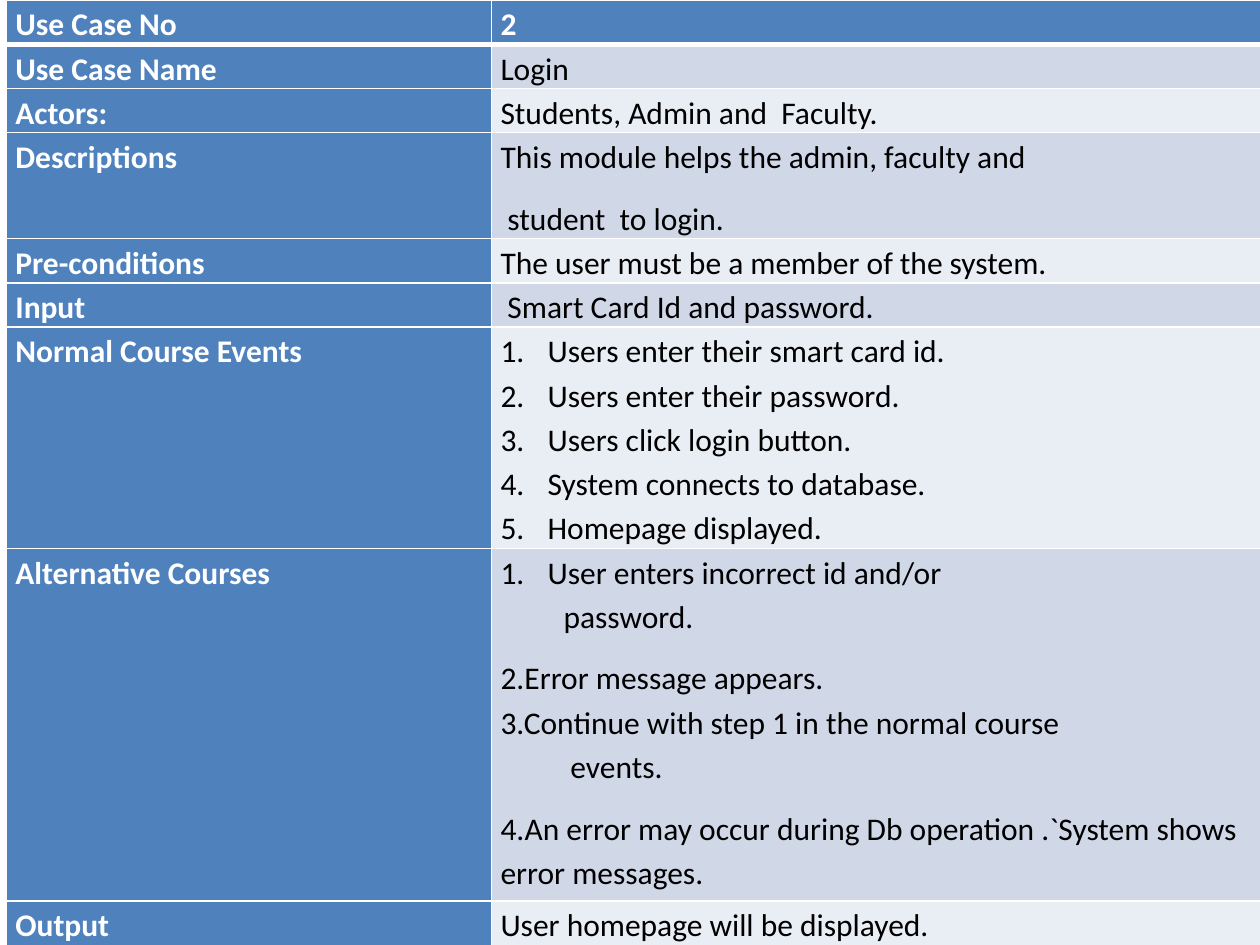
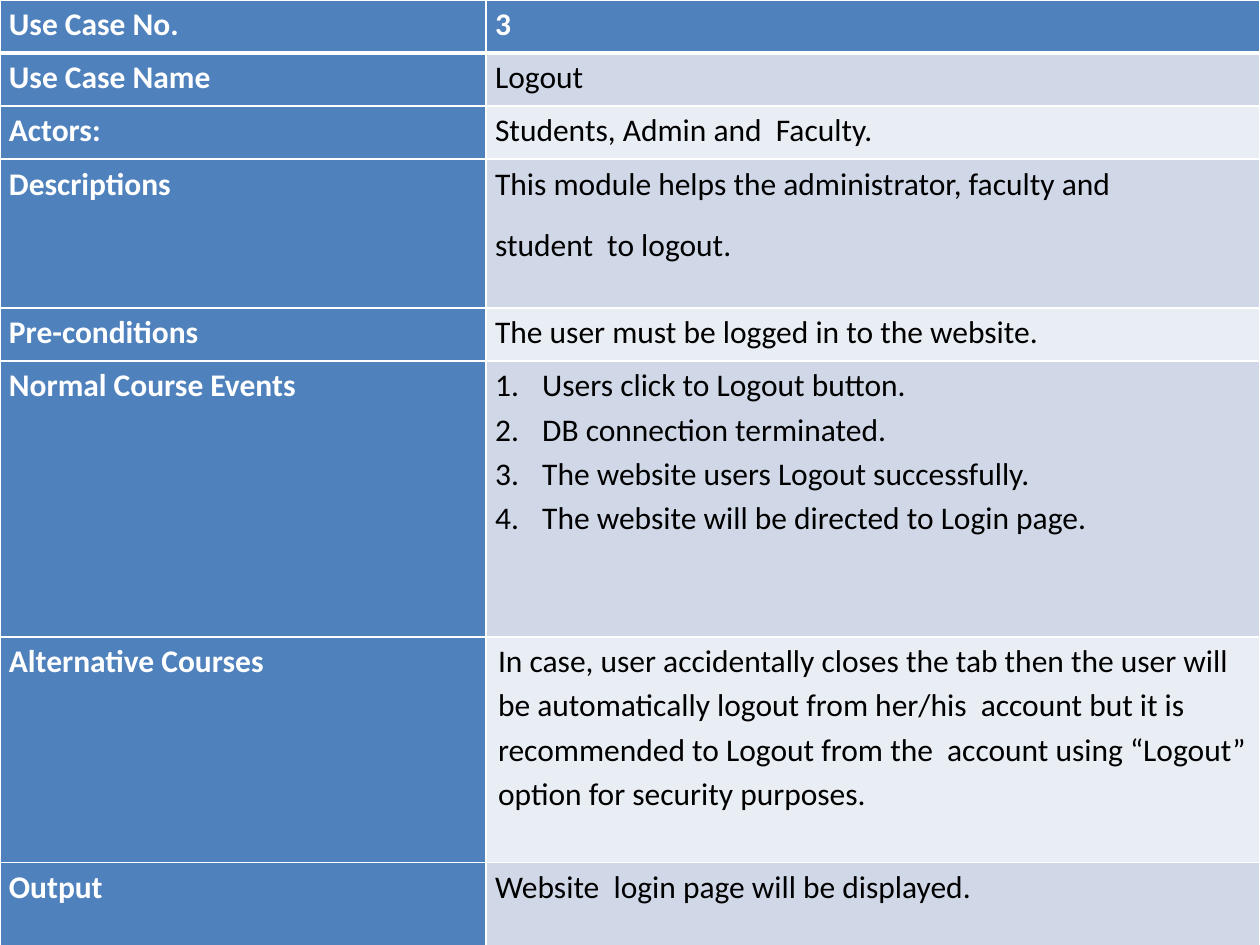
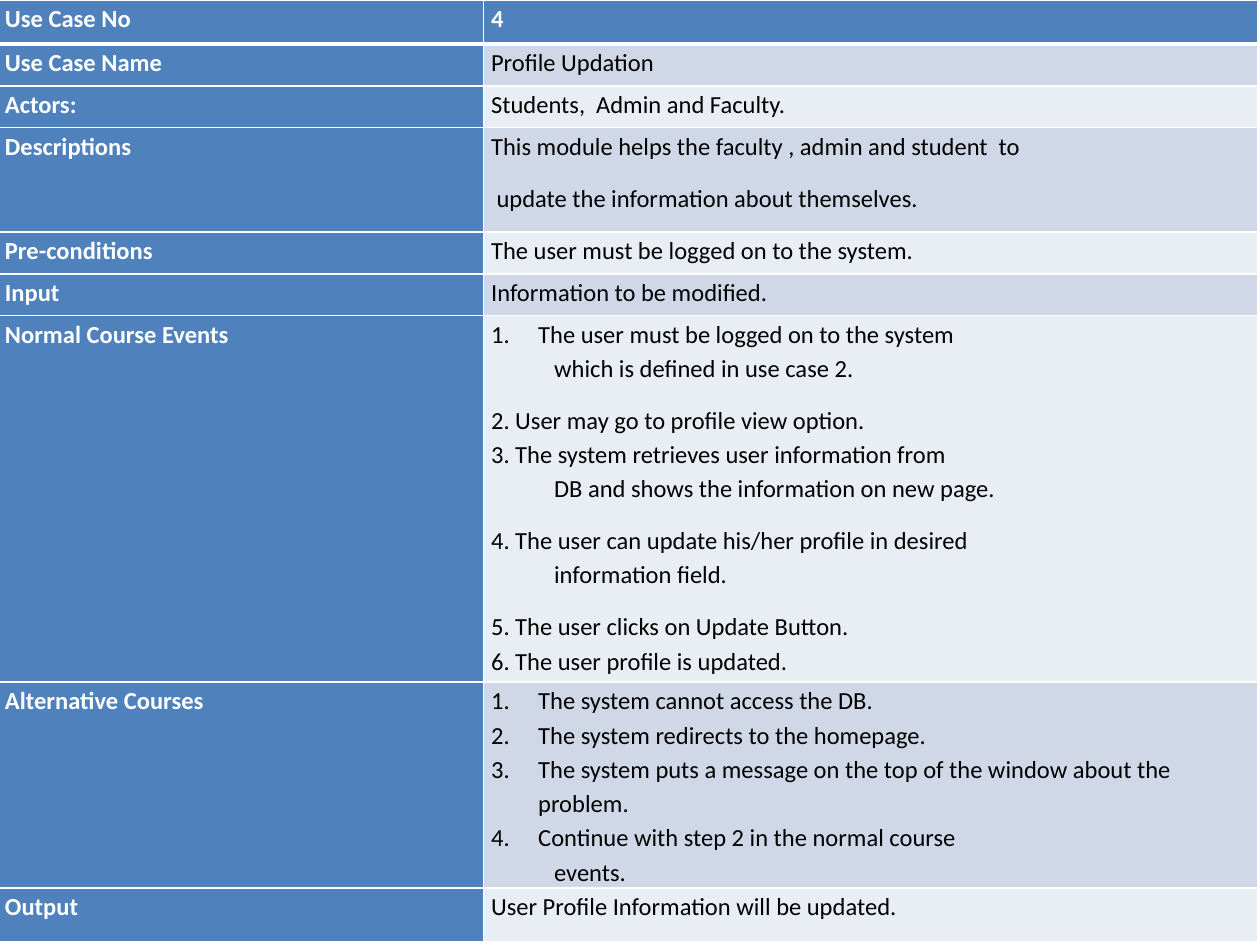
from dataclasses import dataclass

from lxml import etree
from pptx import Presentation
from pptx import slide as sl
from pptx import table as tb
from pptx import util as u
from pptx.dml import color
from pptx.enum import text
from pptx.oxml import ns


# Theme: every colour and type size
@dataclass(frozen=True)
class Theme:
    font: str = "Calibri"
    large: int = 18
    small: int = 14
    blue: str = "4F81BD"
    bands: tuple[str, str] = ("E9EDF4", "D0D8E8")
    white: str = "FFFFFF"
    black: str = "000000"
    rule: float = 1
    header_rule: float = 3
    line_spacing: float = 1.15


THEME = Theme()
BLANK_LAYOUT = 6
JUSTIFY = text.PP_ALIGN.JUSTIFY
LEFT = text.PP_ALIGN.LEFT


# Content: paragraphs, table rows and use cases
@dataclass(frozen=True)
class Line:
    words: str
    after: int = 10
    indent: float = 0
    numbered: bool = False
    align: text.PP_ALIGN = LEFT


@dataclass(frozen=True)
class Field:
    label: str
    height: float
    lines: list[Line]


@dataclass(frozen=True)
class UseCase:
    left: float
    height: float
    columns: tuple[float, float]
    inset: float
    size: int
    fields: list[Field]


def value(words: str) -> list[Line]:
    return [Line(words, align=JUSTIFY)]


def step(words: str) -> Line:
    return Line(words, after=0, indent=0.95, numbered=True)


def typed_step(words: str) -> Line:
    return Line(words, after=0)


def continued(words: str, indent: float = 1.27) -> Line:
    return Line(words, indent=indent)


LOGIN = UseCase(0.13, 19.13, (9.78, 15.57), 0.18, THEME.large, [
    Field("Use Case No", 0.81, value("2")),
    Field("Use Case Name", 0.71, value("Login")),
    Field("Actors:", 0.71, value("Students, Admin and  Faculty.")),
    Field("Descriptions", 1.98, [
        Line("This module helps the admin, faculty and"),
        continued("student  to login.", 0.14),
    ]),
    Field("Pre-conditions", 0.71, [Line("The user must be a member of the system.")]),
    Field("Input", 0.71, [continued("Smart Card Id and password.", 0.14)]),
    Field("Normal Course Events", 3.68, [
        step("Users enter their smart card id."),
        step("Users enter their password."),
        step("Users click login button."),
        step("System connects to database."),
        step("Homepage displayed."),
    ]),
    Field("Alternative Courses", 7.11, [
        step("User enters incorrect id and/or"),
        continued("password."),
        typed_step("2.Error message appears."),
        typed_step("3.Continue with step 1 in the normal course"),
        continued("events.", 1.41),
        typed_step("4.An error may occur during Db operation .`System shows error messages."),
    ]),
    Field("Output", 1.14, value("User homepage will be displayed.")),
])

LOGOUT = UseCase(0, 19.38, (9.8, 15.6), 0.18, THEME.large, [
    Field("Use Case No.", 1.07, value("3")),
    Field("Use Case Name", 1.07, value("Logout")),
    Field("Actors:", 1.07, value("Students, Admin and  Faculty.")),
    Field("Descriptions", 3.0, [
        *value("This module helps the administrator, faculty and"),
        *value("student  to logout."),
    ]),
    Field("Pre-conditions", 1.07, value("The user must be logged in to the website.")),
    Field("Normal Course Events", 5.56, [
        step("Users click to Logout button."),
        step("DB connection terminated."),
        step("The website users Logout successfully."),
        step("The website will be directed to Login page."),
    ]),
    Field("Alternative Courses", 4.55, [
        continued("In case, user accidentally closes the tab then the user will be "
                  "automatically logout from her/his  account but it is recommended to "
                  "Logout from the  account using “Logout” option for security purposes.",
                  0.06),
    ]),
    Field("Output", 2.06, value("Website  login page will be displayed.")),
])

PROFILE = UseCase(-0.05, 19.0, (9.8, 15.6), 0.15, THEME.small, [
    Field("Use Case No", 0.89, value("4")),
    Field("Use Case Name", 0.84, value("Profile Updation")),
    Field("Actors:", 0.84, value("Students,  Admin and Faculty.")),
    Field("Descriptions", 2.11, [
        Line("This module helps the faculty , admin and student  to"),
        continued("update the information about themselves.", 0.11),
    ]),
    Field("Pre-conditions", 0.84, [Line("The user must be logged on to the system.")]),
    Field("Input", 0.84, [Line("Information to be modified.")]),
    Field("Normal Course Events", 7.39, [
        step("The user must be logged on to the system"),
        continued("which is defined in use case 2."),
        typed_step("2. User may go to profile view option."),
        typed_step("3. The system retrieves user information from"),
        continued("DB and shows the information on new page."),
        typed_step("4. The user can update his/her profile in desired"),
        continued("information field."),
        typed_step("5. The user clicks on Update Button."),
        typed_step("6. The user profile is updated."),
    ]),
    Field("Alternative Courses", 3.84, [
        step("The system cannot access the DB."),
        step("The system redirects to the homepage."),
        step("The system puts a message on the top of the window about the problem."),
        step("Continue with step 2 in the normal course"),
        continued("events."),
    ]),
    Field("Output", 1.09, value("User Profile Information will be updated.")),
])


# Cell drawing
def set_borders(cell: tb._Cell, row: int) -> None:
    widths = dict.fromkeys(("lnL", "lnR", "lnT", "lnB"), THEME.rule)
    if row == 0:
        widths["lnB"] = THEME.header_rule
    elif row == 1:
        widths["lnT"] = THEME.header_rule
    properties = cell._tc.get_or_add_tcPr()
    for side, width in widths.items():
        border = etree.SubElement(properties, ns.qn(f"a:{side}"), w=str(u.Pt(width)))
        fill = etree.SubElement(border, ns.qn("a:solidFill"))
        etree.SubElement(fill, ns.qn("a:srgbClr"), val=THEME.white)


def write_lines(cell: tb._Cell, lines: list[Line], size: int, strong: bool) -> None:
    frame = cell.text_frame
    for index, line in enumerate(lines):
        para = frame.add_paragraph() if index else frame.paragraphs[0]
        para.text = line.words
        para.alignment = line.align
        para.line_spacing = THEME.line_spacing
        para.space_after = u.Pt(line.after)
        properties = para._p.get_or_add_pPr()
        indent = u.Cm(line.indent)
        properties.set("marL", str(indent))
        properties.set("indent", str(-indent if line.numbered else 0))
        if line.numbered:
            etree.SubElement(properties, ns.qn("a:buAutoNum"), type="arabicPeriod")
        para.font.name = THEME.font
        para.font.size = u.Pt(size)
        para.font.bold = strong
        ink = THEME.white if strong else THEME.black
        para.font.color.rgb = color.RGBColor.from_string(ink)


def fill_cell(cell: tb._Cell, lines: list[Line], row: int, case: UseCase, strong: bool) -> None:
    cell.margin_left = cell.margin_right = u.Cm(case.inset)
    cell.margin_top = cell.margin_bottom = 0
    set_borders(cell, row)
    cell.fill.solid()
    shade = THEME.blue if strong else THEME.bands[row % 2]
    cell.fill.fore_color.rgb = color.RGBColor.from_string(shade)
    write_lines(cell, lines, case.size, strong)


# Use case table
def draw_use_case(page: sl.Slide, case: UseCase) -> None:
    box = page.shapes.add_table(len(case.fields), len(case.columns), u.Cm(case.left), 0,
                                u.Cm(sum(case.columns)), u.Cm(case.height))
    table = box.table
    table.first_col = True
    for column, width in zip(table.columns, case.columns):
        column.width = u.Cm(width)
    for row, field in enumerate(case.fields):
        table.rows[row].height = u.Cm(field.height)
        fill_cell(table.cell(row, 0), value(field.label), row, case, strong=True)
        fill_cell(table.cell(row, 1), field.lines, row, case, strong=row == 0)
    box.height = u.Cm(case.height)


def main() -> None:
    deck = Presentation()
    deck.slide_width, deck.slide_height = u.Cm(25.4), u.Cm(19.05)
    for case in (LOGIN, LOGOUT, PROFILE):
        draw_use_case(deck.slides.add_slide(deck.slide_layouts[BLANK_LAYOUT]), case)
    deck.save("out.pptx")


if __name__ == "__main__":
    main()
